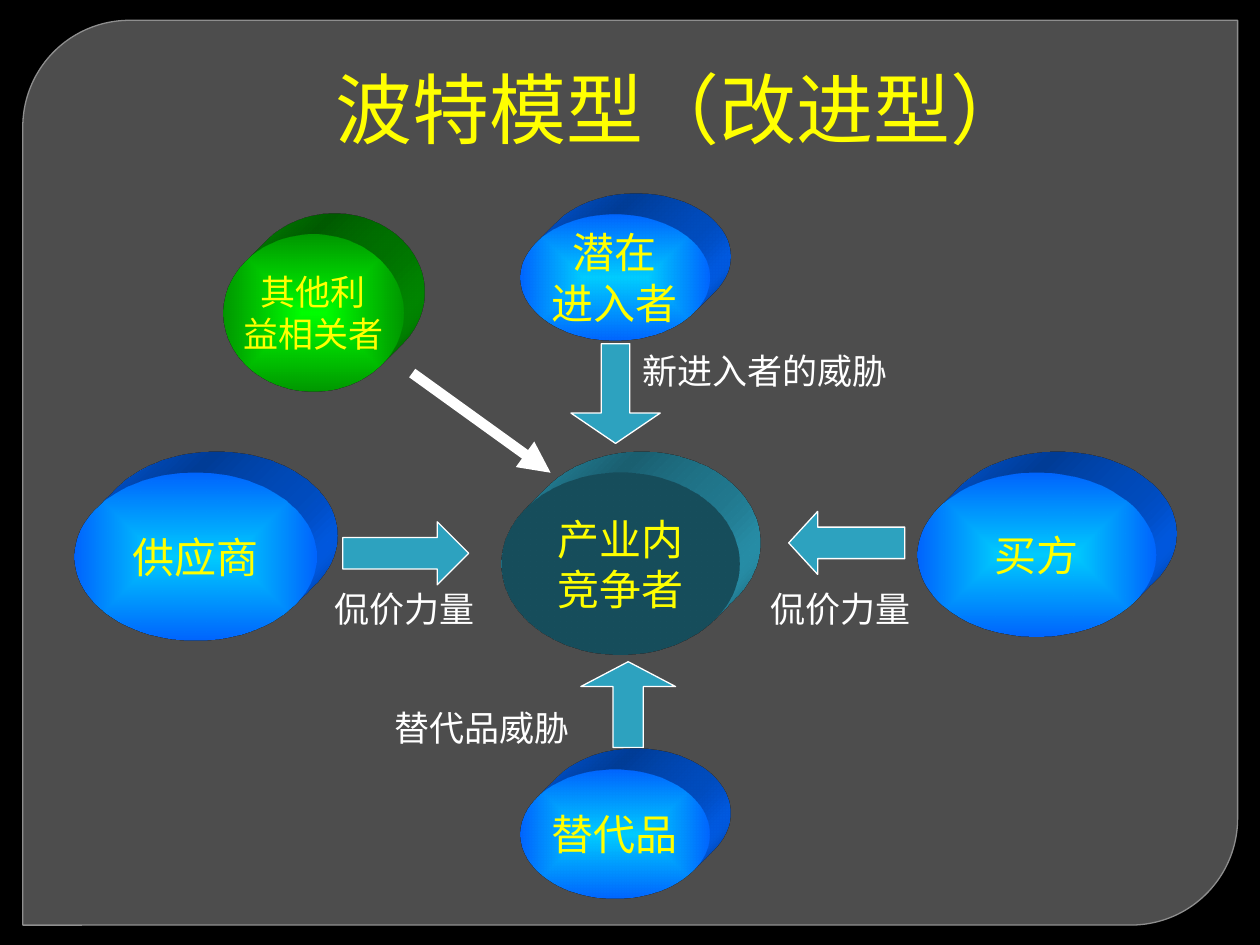
from lxml.etree import SubElement
from pptx import Presentation
from pptx.dml.color import RGBColor
from pptx.enum.shapes import MSO_CONNECTOR, MSO_SHAPE
from pptx.enum.text import MSO_ANCHOR, PP_ALIGN
from pptx.oxml import parse_xml
from pptx.oxml.ns import nsdecls, qn
from pptx.util import Cm, Pt

HUES = {
    "black": "000000", "panel": "4D4D4D", "edge": "8E8E8E", "white": "FFFFFF",
    "yellow": "FFFF00", "teal": "2DA2BF", "deep": "206F84",
    "sky": "00CCFF", "blue": "0066FF", "lime": "00FF00", "green": "009900",
}


def hue(name):
    return RGBColor.from_string(HUES[name])


def write(shape, text, size=20, color="white", font="Times New Roman",
          align=PP_ALIGN.LEFT, wrap=True):
    frame = shape.text_frame
    frame.word_wrap = wrap
    frame.vertical_anchor = MSO_ANCHOR.MIDDLE
    frame.text = text
    for para in frame.paragraphs:
        para.alignment = align
        para.font.size = Pt(size)
        para.font.name = font
        para.font.color.rgb = hue(color)


deck = Presentation()
deck.slide_width, deck.slide_height = Cm(25.4), Cm(19.05)
slide = deck.slides.add_slide(deck.slide_layouts[5])
slide.background.fill.solid()
slide.background.fill.fore_color.rgb = hue("black")
shapes = slide.shapes

title = shapes.title
title.left, title.top, title.width, title.height = Cm(6.5), Cm(1.12), Cm(14.61), Cm(2.11)
write(title, "波特模型（改进型）", size=44, color="yellow", font="TeX Gyre Bonum")

blocks = [
    (MSO_SHAPE.ROUND_2_DIAG_RECTANGLE, 0.46, 0.41, 24.49, 18.24, (0.118, 0), "panel", "edge"),
    (MSO_SHAPE.DOWN_ARROW, 11.51, 6.93, 1.8, 2.01, (0.32, 0.34), "teal", "white"),
    (MSO_SHAPE.LEFT_ARROW, 15.9, 10.31, 2.34, 1.27, (0.5, 0.46), "teal", "white"),
    (MSO_SHAPE.UP_ARROW, 11.71, 13.34, 1.91, 1.73, (0.32, 0.29), "teal", "white"),
    (MSO_SHAPE.RIGHT_ARROW, 6.91, 10.52, 2.54, 1.27, (0.5, 0.5), "teal", "white"),
]
for kind, left, top, width, height, bends, fill, edge in blocks:
    block = shapes.add_shape(kind, Cm(left), Cm(top), Cm(width), Cm(height))
    for spot, bend in enumerate(bends):
        block.adjustments[spot] = bend
    block.shadow.inherit = False
    block.fill.solid()
    block.fill.fore_color.rgb = hue(fill)
    block.line.color.rgb = hue(edge)
    block.line.width = Pt(0.75)
    if fill == "panel":
        shapes._spTree.remove(block._element)
        shapes._spTree.insert(2, block._element)

forces = [
    ("产业内\n竞争者", 10.11, 9.53, 4.8, 3.66, 24, "deep", "deep", "teal"),
    ("潜在\n进入者", 10.49, 4.32, 3.81, 2.54, 24, "sky", "blue", "blue"),
    ("买方", 18.49, 9.53, 4.8, 3.3, 24, "sky", "blue", "blue"),
    ("替代品", 10.49, 15.52, 3.81, 2.59, 24, "sky", "blue", "blue"),
    ("供应商", 1.5, 9.53, 4.88, 3.38, 24, "sky", "blue", "blue"),
    ("其他利\n益相关者", 4.5, 4.72, 3.63, 3.18, 20, "lime", "green", "green"),
]
for text, left, top, width, height, size, core, rim, side in forces:
    force = shapes.add_shape(MSO_SHAPE.OVAL, Cm(left), Cm(top), Cm(width), Cm(height))
    force.shadow.inherit = False
    force.line.fill.background()
    if core == rim:
        force.fill.solid()
        force.fill.fore_color.rgb = hue(core)
    else:
        force.fill.gradient()
        stops = force.fill.gradient_stops
        for stop, name, place in zip(stops, (core, rim), (0, 1)):
            stop.color.rgb = hue(name)
            stop.position = place
        grad = force._element.spPr.find(qn("a:gradFill"))
        grad.replace(grad.find(qn("a:lin")), parse_xml(
            f'<a:path {nsdecls("a")} path="shape">'
            '<a:fillToRect l="50000" t="50000" r="50000" b="50000"/></a:path>'))
    force._element.spPr.append(parse_xml(
        f'<a:scene3d {nsdecls("a")}><a:camera prst="legacyObliqueTopRight"/>'
        '<a:lightRig rig="legacyFlat3" dir="b"/></a:scene3d>'))
    force._element.spPr.append(parse_xml(
        f'<a:sp3d {nsdecls("a")} extrusionH="430200" prstMaterial="legacyMatte">'
        f'<a:extrusionClr><a:srgbClr val="{HUES[side]}"/></a:extrusionClr></a:sp3d>'))
    write(force, text, size=size, color="yellow", align=PP_ALIGN.CENTER, wrap=False)

link = shapes.add_connector(MSO_CONNECTOR.STRAIGHT, Cm(8.31), Cm(7.52), Cm(11.1), Cm(9.53))
link.line.color.rgb = hue("white")
link.line.width = Pt(6)
SubElement(link.line._get_or_add_ln(), qn("a:tailEnd"), type="triangle")
SubElement(link._element.spPr, qn("a:effectLst"))

labels = [
    ("新进入者的威胁", 12.7, 6.93, 5.59),
    ("替代品威胁", 7.7, 14.12, 4.39),
    ("侃价力量", 6.5, 11.73, 3.4),
    ("侃价力量", 15.29, 11.73, 3.99),
]
for text, left, top, width in labels:
    label = shapes.add_textbox(Cm(left), Cm(top), Cm(width), Cm(1.09))
    write(label, text)

deck.save("out.pptx")
